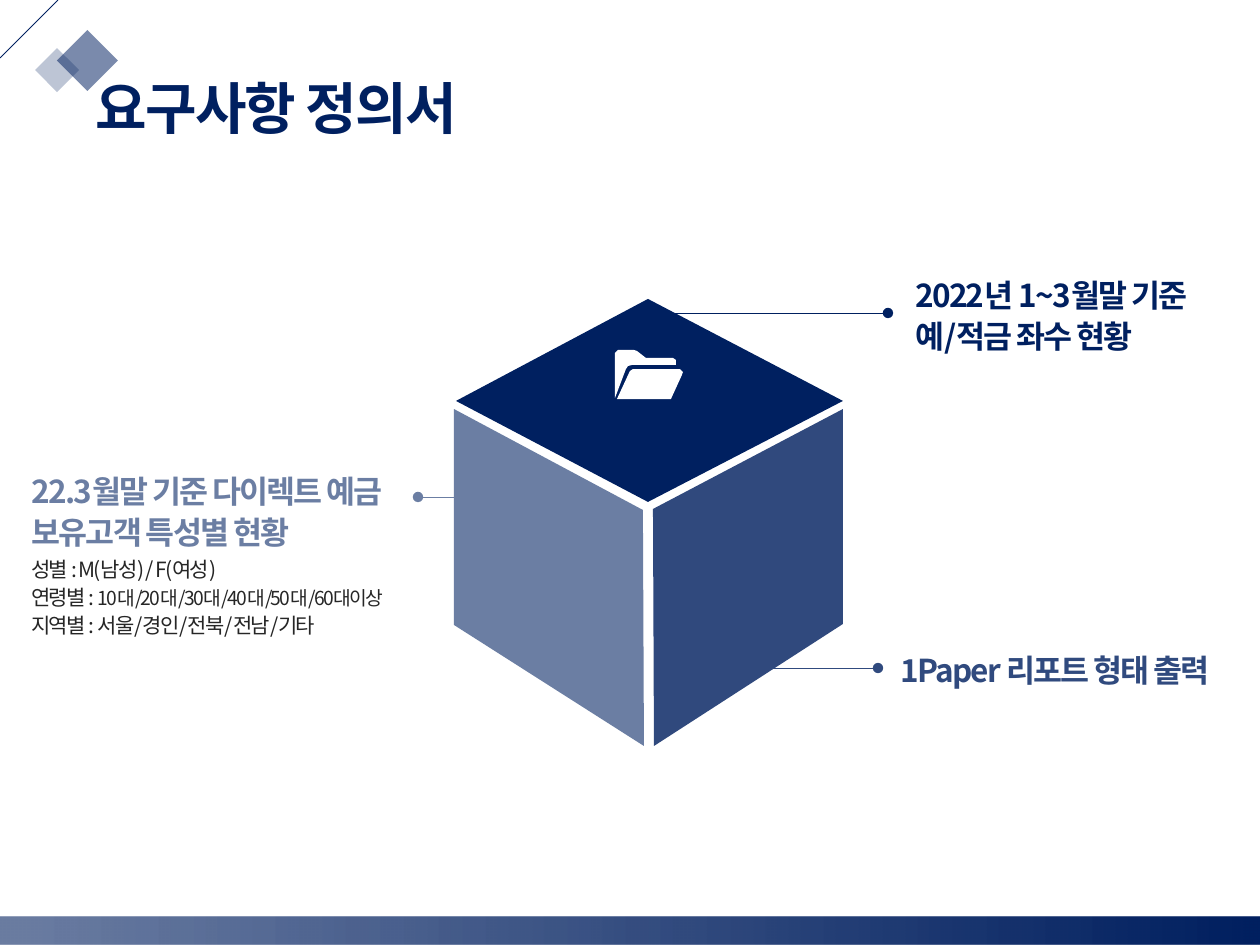
from dataclasses import dataclass

from lxml.etree import SubElement
from pptx import Presentation
from pptx.dml.color import RGBColor
from pptx.enum.shapes import MSO_CONNECTOR, MSO_SHAPE
from pptx.enum.text import MSO_ANCHOR, MSO_AUTO_SIZE
from pptx.oxml.ns import qn
from pptx.util import Emu, Pt

SCALE = 914400 / 126


@dataclass(frozen=True)
class Theme:
    font: str = "Noto Sans CJK KR"
    navy: str = "002060"
    slate: str = "6B7EA3"
    indigo: str = "304A7E"
    ink: str = "262626"
    white: str = "FFFFFF"
    title: int = 32
    heading: int = 18
    body: int = 12
    small: int = 11
    line: float = 0.5


THEME = Theme()


def px(length):
    return Emu(round(length * SCALE))


def set_alpha(color_parent, percent):
    for color in color_parent.iter(qn("a:srgbClr")):
        SubElement(color, qn("a:alpha"), val=str(percent * 1000))


def paint(shape, color, alpha=None):
    shape.shadow.inherit = False
    shape.line.fill.background()
    shape.fill.solid()
    shape.fill.fore_color.rgb = RGBColor.from_string(color)
    if alpha:
        set_alpha(shape._element.spPr, alpha)


def add_polygon(slide, left, top, points, color, alpha=None):
    builder = slide.shapes.build_freeform(*points[0], scale=SCALE)
    builder.add_line_segments(points[1:], close=True)
    paint(builder.convert_to_shape(px(left), px(top)), color, alpha)


def add_line(slide, start, end, color, dot=False):
    line = slide.shapes.add_connector(
        MSO_CONNECTOR.STRAIGHT, *map(px, start + end))
    line.line.color.rgb = RGBColor.from_string(color)
    line.line.width = Pt(THEME.line)
    if dot:
        SubElement(line.line._get_or_add_ln(), qn("a:tailEnd"), type="oval")
    SubElement(line._element.spPr, qn("a:effectLst"))


def add_text(slide, box, paragraphs, size, color, bold=True,
             anchor=MSO_ANCHOR.MIDDLE):
    """Place paragraphs of text in the box and return their text frame."""
    frame = slide.shapes.add_textbox(*map(px, box)).text_frame
    frame.word_wrap = True
    frame.auto_size = MSO_AUTO_SIZE.SHAPE_TO_FIT_TEXT
    frame.vertical_anchor = anchor
    frame.text = "\n".join(paragraphs)
    for paragraph in frame.paragraphs:
        paragraph.line_spacing = 1.1
        for run in paragraph.runs:
            format_run(run, size, color, bold)
    return frame


def format_run(run, size, color, bold):
    run.font.size = Pt(size)
    run.font.bold = bold
    run.font.color.rgb = RGBColor.from_string(color)
    run.font.name = THEME.font
    properties = run.font._element
    properties.set("spc", "-100")
    SubElement(properties, qn("a:ea"), typeface=THEME.font)


def add_footer_band(slide, left, top, width, height):
    band = slide.shapes.add_shape(
        MSO_SHAPE.RECTANGLE, *map(px, (left, top, width, height)))
    band.shadow.inherit = False
    band.line.fill.background()
    band.fill.gradient()
    band.fill.gradient_angle = 0
    stops = band.fill.gradient_stops
    for stop, position in zip(stops, (0.01, 1)):
        stop.color.rgb = RGBColor.from_string(THEME.navy)
        stop.position = position
    set_alpha(stops[0]._gs, 58)


def add_header(slide, left, top):
    add_line(slide, (left, top + 58), (left + 58, top), THEME.navy)
    for x, y, side, alpha in ((35, 48, 44, 26), (57, 30, 61, 52)):
        diamond = slide.shapes.add_shape(
            MSO_SHAPE.DIAMOND, *map(px, (left + x, top + y, side, side)))
        paint(diamond, THEME.navy, alpha)
    add_text(slide, (left + 83, top + 60, 786, 87), ["요구사항 정의서"],
             THEME.title, THEME.navy)


def add_cube(slide, left, top):
    top_face = [(194, 0), (2, 102), (194, 203), (389, 102)]
    left_face = [(0, 110), (189, 211), (190, 447), (0, 326)]
    right_face = [(389, 110), (199, 210), (200, 447), (389, 325)]
    add_polygon(slide, left, top, top_face, THEME.navy)
    add_polygon(slide, left, top, left_face, THEME.slate)
    add_polygon(slide, left, top, right_face, THEME.navy, alpha=81)
    add_folder(slide, left + 161, top + 51)


def add_folder(slide, left, top):
    back = [(17, 15), (61, 15), (61, 10), (58, 8), (31, 8), (22, 1), (19, 0),
            (3, 0), (0, 3), (0, 48), (11, 19), (13, 16)]
    front = [(68, 22), (65, 19), (18, 19), (15, 21), (2, 49), (56, 49),
             (67, 25)]
    for outline in (back, front):
        add_polygon(slide, left, top, outline, THEME.white)


def add_callout(slide, box, lines, color, start, end):
    """Place a heading in the box and a dotted leader given relative to it."""
    left, top = box[:2]
    add_line(slide, (left + start[0], top + start[1]),
             (left + end[0], top + end[1]), color, dot=True)
    add_text(slide, box, lines, THEME.heading, color)


def add_customer_details(slide, box):
    frame = add_text(
        slide, box,
        ["성별 : M(남성) / F(여성)", "연령별 : ",
         "지역별 : 서울/경인/전북/전남/기타"],
        THEME.body, THEME.ink, bold=False, anchor=MSO_ANCHOR.TOP)
    ages = frame.paragraphs[1].add_run()
    ages.text = "10대/20대/30대/40대/50대/60대이상"
    format_run(ages, THEME.small, THEME.ink, False)


def main():
    presentation = Presentation()
    presentation.slide_width, presentation.slide_height = px(1260), px(945)
    slide = presentation.slides.add_slide(presentation.slide_layouts[6])

    add_footer_band(slide, 0, 917, 1260, 28)
    add_header(slide, 0, 0)
    add_callout(slide, (903, 265, 403, 97),
                ["2022년 1~3월말 기준", "예/적금 좌수 현황"],
                THEME.navy, (-250, 48), (-15, 48))
    add_cube(slide, 454, 299)
    add_callout(slide, (19, 461, 387, 97),
                ["22.3월말 기준 다이렉트 예금 보유고객 특성별 현황"],
                THEME.slate, (506, 36), (399, 36))
    add_customer_details(slide, (19, 548, 387, 97))
    add_callout(slide, (888, 641, 403, 54), ["1Paper 리포트 형태 출력"],
                THEME.indigo, (-118, 27), (-10, 27))
    presentation.save("out.pptx")


if __name__ == "__main__":
    main()
